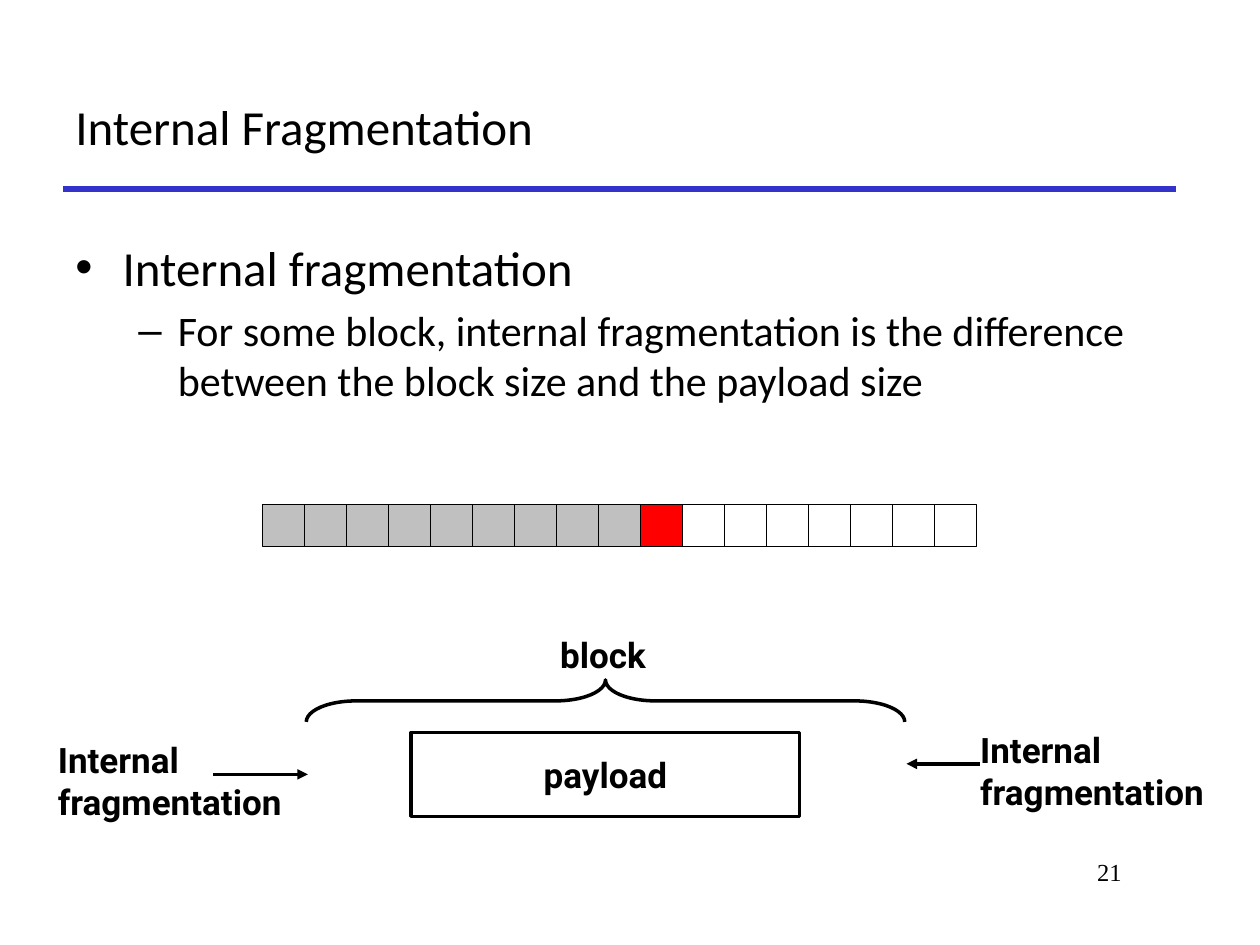
from dataclasses import dataclass

from lxml import etree
from pptx import Presentation
from pptx.dml.color import RGBColor
from pptx.enum import shapes, text
from pptx.oxml import ns
from pptx.util import Pt


@dataclass(frozen=True)
class Theme:
    black: str = "000000"
    white: str = "FFFFFF"
    rule: str = "3333CC"
    used: str = "C0C0C0"
    marked: str = "FF0000"
    body_font: str = "Calibri"
    label_font: str = "Roboto"
    number_font: str = "Times New Roman"
    title_size: float = 28
    sub_size: float = 24
    label_size: float = 20
    number_size: float = 14


T = Theme()
LABEL = dict(font=T.label_font, size=T.label_size, bold=True)


def color(value):
    return RGBColor.from_string(value)


def write(p, content, font=T.body_font, size=T.title_size, bold=False,
          align=text.PP_ALIGN.LEFT, before=0):
    p.alignment = align
    if before:
        p.space_before = Pt(before)
    r = p.add_run()
    r.text = content
    r.font.name, r.font.size, r.font.bold = font, Pt(size), bold
    r.font.color.rgb = color(T.black)


def add_text(parent, box, *lines, anchor=text.MSO_ANCHOR.TOP, **fmt):
    tf = parent.add_textbox(*map(Pt, box)).text_frame
    tf.word_wrap, tf.vertical_anchor = True, anchor
    for i, line in enumerate(lines):
        write(tf.add_paragraph() if i else tf.paragraphs[0], line, **fmt)


def add_shape(parent, kind, box, fill=None, width=2):
    sp = parent.add_shape(kind, *map(Pt, box))
    sp.shadow.inherit = False
    if fill:
        sp.fill.solid()
        sp.fill.fore_color.rgb = color(fill)
    else:
        sp.fill.background()
    sp.line.color.rgb, sp.line.width = color(T.black), Pt(width)
    return sp


def add_line(parent, x1, x2, y, stroke=T.black, width=2, arrow=False):
    """Draw a horizontal line, with an arrowhead at x2 if asked for."""
    c = parent.add_connector(shapes.MSO_CONNECTOR.STRAIGHT, Pt(x1), Pt(y), Pt(x2), Pt(y))
    c.line.color.rgb, c.line.width = color(stroke), Pt(width)
    if arrow:
        etree.SubElement(c.line._get_or_add_ln(), ns.qn("a:tailEnd"), type="triangle")
    etree.SubElement(c._element.spPr, ns.qn("a:effectLst"))


def add_header(s, x, y, w, h):
    add_line(s.shapes, x, x + w, y + h, stroke=T.rule, width=3)
    add_text(s.shapes, (x, y, w, h), "Internal Fragmentation", anchor=text.MSO_ANCHOR.MIDDLE)


def set_bullet(p, char, margin, hang):
    pPr = p._p.get_or_add_pPr()
    pPr.set("marL", str(Pt(margin)))
    pPr.set("indent", str(Pt(-hang)))
    etree.SubElement(pPr, ns.qn("a:buFont"), typeface="Arial")
    etree.SubElement(pPr, ns.qn("a:buChar"), char=char)


def add_body(s, x, y, w, h):
    tf = s.shapes.add_textbox(Pt(x), Pt(y), Pt(w), Pt(h)).text_frame
    tf.word_wrap = True
    p = tf.paragraphs[0]
    set_bullet(p, "•", 27, 27)
    write(p, "Internal fragmentation")
    p = tf.add_paragraph()
    p.level = 1
    set_bullet(p, "–", 58.5, 22.5)
    write(p, "For some block, internal fragmentation is the difference "
             "between the block size and the payload size", size=T.sub_size, before=4.8)


def add_memory(s, x, y, cell):
    """Draw the row of memory words as equal square cells."""
    group = s.shapes.add_group_shape().shapes
    fills = [T.used] * 9 + [T.marked] + [T.white] * 7
    for i, fill in enumerate(fills):
        add_shape(group, shapes.MSO_SHAPE.RECTANGLE, (x + i * cell, y, cell, cell), fill, 0.25)


def add_brace(parent, x, y, w, h):
    """Draw a brace that opens downward and fills the given box."""
    upright = (x + (w - h) / 2, y + (h - w) / 2, h, w)
    sp = add_shape(parent, shapes.MSO_SHAPE.RIGHT_BRACE, upright)
    sp.adjustments[0] = 1.19
    sp.rotation = 270


def add_block_diagram(s, x, y):
    group = s.shapes.add_group_shape().shapes
    payload = add_shape(group, shapes.MSO_SHAPE.RECTANGLE, (x + 209, y + 60, 222, 48), T.white)
    tf = payload.text_frame
    tf.vertical_anchor = text.MSO_ANCHOR.MIDDLE
    write(tf.paragraphs[0], "payload", align=text.PP_ALIGN.CENTER, **LABEL)
    add_brace(group, x + 149, y + 30, 342, 24)
    add_text(group, (x + 287, y, 67, 32), "block", **LABEL)
    for left, top, start, end in ((0, 60, 96, 150), (527, 54, 534, 492)):
        add_text(group, (x + left, y + top, 149, 55.5), "Internal", "fragmentation", **LABEL)
        add_line(group, x + start, x + end, y + top + 24, arrow=True)


def add_number(s, x, y, w, h):
    add_text(s.shapes, (x, y, w, h), "21", font=T.number_font, size=T.number_size,
             align=text.PP_ALIGN.RIGHT)


def main():
    prs = Presentation()
    prs.slide_width, prs.slide_height = Pt(720), Pt(540)
    s = prs.slides.add_slide(prs.slide_layouts[6])
    add_header(s, 36, 36, 636, 72)
    add_number(s, 546, 486, 102, 36)
    add_body(s, 36, 132, 636, 204)
    add_block_diagram(s, 26, 358.5)
    add_memory(s, 150, 288, 24)
    prs.save("out.pptx")


if __name__ == "__main__":
    main()
